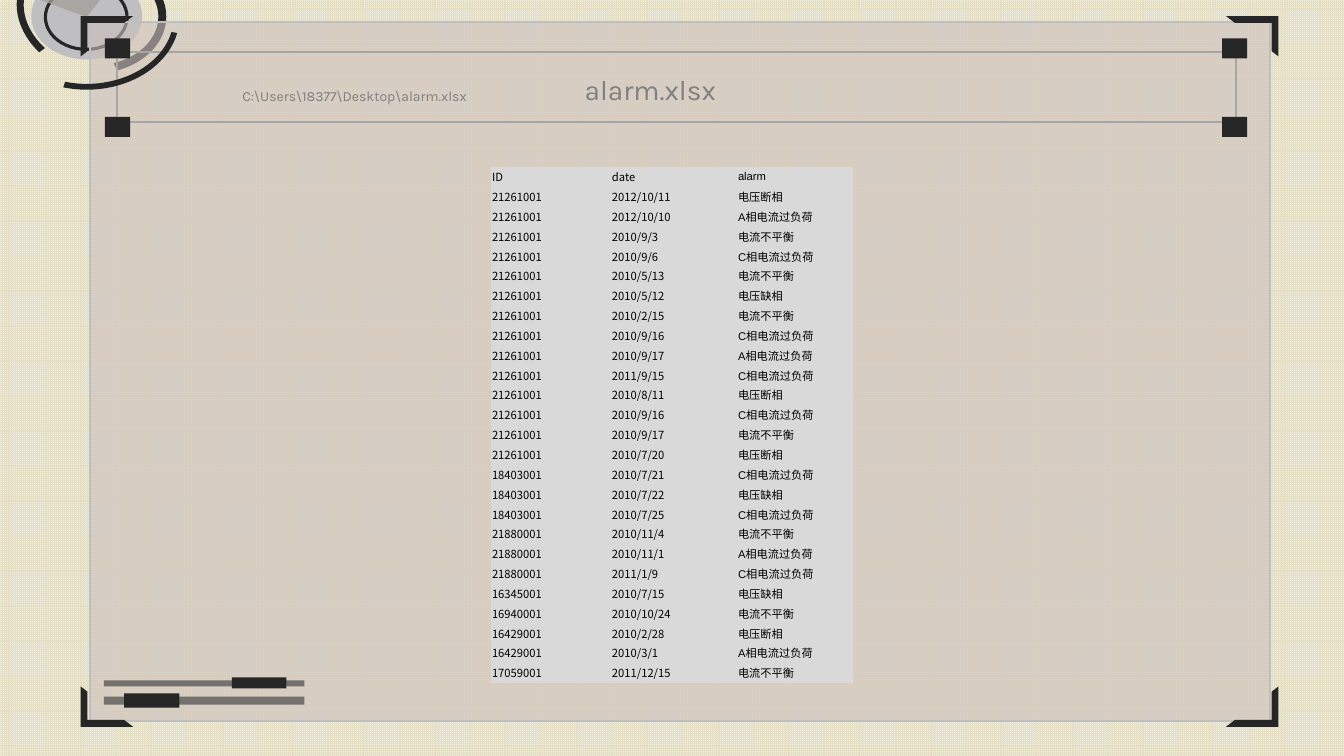
from dataclasses import dataclass

from lxml.etree import SubElement
from pptx import Presentation
from pptx.dml.color import RGBColor
from pptx.enum.dml import MSO_PATTERN
from pptx.enum.shapes import MSO_SHAPE
from pptx.enum.text import MSO_ANCHOR, MSO_AUTO_SIZE, PP_ALIGN
from pptx.oxml.ns import qn
from pptx.util import Pt

EMU_PER_PX = 9144  # 100 px to the inch
NO_STYLE_NO_GRID = "{2D5ABB26-0587-4C30-8999-92F81FD0307C}"


@dataclass(frozen=True)
class Theme:
    grid: str = "E5E0C5"
    paper: str = "EFECDC"
    dark: str = "262626"
    disc: str = "BFBFC1"
    wedge: str = "A19F9B"
    panel: str = "CCBFBC"
    panel_edge: str = "BFBFBF"
    frame: str = "A6A6A6"
    slider: str = "75716F"
    cell: str = "D9D9D9"
    ink: str = "000000"
    muted: str = "808080"
    heading_font: str = "Karla"
    data_font: str = "Noto Sans CJK SC"
    alarm_font: str = "Arial"
    title_size: int = 20
    path_size: int = 10
    data_size: int = 8


THEME = Theme()

RECORDS = [
    ("ID", "date", "alarm"),
    ("21261001", "2012/10/11", "电压断相"),
    ("21261001", "2012/10/10", "A相电流过负荷"),
    ("21261001", "2010/9/3", "电流不平衡"),
    ("21261001", "2010/9/6", "C相电流过负荷"),
    ("21261001", "2010/5/13", "电流不平衡"),
    ("21261001", "2010/5/12", "电压缺相"),
    ("21261001", "2010/2/15", "电流不平衡"),
    ("21261001", "2010/9/16", "C相电流过负荷"),
    ("21261001", "2010/9/17", "A相电流过负荷"),
    ("21261001", "2011/9/15", "C相电流过负荷"),
    ("21261001", "2010/8/11", "电压断相"),
    ("21261001", "2010/9/16", "C相电流过负荷"),
    ("21261001", "2010/9/17", "电流不平衡"),
    ("21261001", "2010/7/20", "电压断相"),
    ("18403001", "2010/7/21", "C相电流过负荷"),
    ("18403001", "2010/7/22", "电压缺相"),
    ("18403001", "2010/7/25", "C相电流过负荷"),
    ("21880001", "2010/11/4", "电流不平衡"),
    ("21880001", "2010/11/1", "A相电流过负荷"),
    ("21880001", "2011/1/9", "C相电流过负荷"),
    ("16345001", "2010/7/15", "电压缺相"),
    ("16940001", "2010/10/24", "电流不平衡"),
    ("16429001", "2010/2/28", "电压断相"),
    ("16429001", "2010/3/1", "A相电流过负荷"),
    ("17059001", "2011/12/15", "电流不平衡"),
]


def px(length):
    return round(length * EMU_PER_PX)


def rgb(value):
    return RGBColor.from_string(value)


def write(paragraph, text, *, size, font, color):
    run = paragraph.add_run()
    run.text = text
    run.font.size = Pt(size)
    run.font.name = font
    run.font.color.rgb = rgb(color)
    east_asian = SubElement(run.font._element, qn("a:ea"))
    east_asian.set("typeface", THEME.data_font)


class SlideBuilder:
    def __init__(self, slide, theme):
        self.slide = slide
        self.theme = theme

    def background(self):
        fill = self.slide.background.fill
        fill.patterned()
        fill.pattern = MSO_PATTERN.SMALL_GRID
        fill.fore_color.rgb = rgb(self.theme.grid)
        fill.back_color.rgb = rgb(self.theme.paper)

    def shape(self, kind, box, *, fill=None, opacity=None, line=None,
              weight=1.5, adjust=(), turn=0, flip=""):
        """Add a preset shape; flip holds "h", "v" or both."""
        shape = self.slide.shapes.add_shape(kind, *map(px, box))
        shape.shadow.inherit = False
        shape.rotation = turn
        for index, value in enumerate(adjust):
            shape.adjustments[index] = value
        for axis in flip:
            shape._element.spPr.xfrm.set("flip" + axis.upper(), "1")
        if fill:
            shape.fill.solid()
            shape.fill.fore_color.rgb = rgb(fill)
            if opacity:
                color = shape._element.spPr.find(qn("a:solidFill"))[0]
                SubElement(color, qn("a:alpha")).set("val", str(opacity * 1000))
        else:
            shape.fill.background()
        if line:
            shape.line.color.rgb = rgb(line)
            shape.line.width = Pt(weight)
        else:
            shape.line.fill.background()

    def text(self, box, runs, *, align=PP_ALIGN.LEFT, anchor=MSO_ANCHOR.TOP,
             autosize=MSO_AUTO_SIZE.NONE):
        """Add a one-paragraph box from (text, format) pairs."""
        frame = self.slide.shapes.add_textbox(*map(px, box)).text_frame
        frame.word_wrap = True
        frame.auto_size = autosize
        frame.vertical_anchor = anchor
        frame.paragraphs[0].alignment = align
        for content, style in runs:
            write(frame.paragraphs[0], content, **style)

    def table(self, left, top, height, widths, records, fonts):
        table = self.slide.shapes.add_table(
            len(records), len(widths),
            *map(px, (left, top, sum(widths), height))).table
        table.first_row = table.horz_banding = False
        table._tbl.tblPr.find(qn("a:tableStyleId")).text = NO_STYLE_NO_GRID
        for column, width in zip(table.columns, widths):
            column.width = px(width)
        for row, record in zip(table.rows, records):
            row.height = px(height / len(records))
            for cell, content, font in zip(row.cells, record, fonts):
                cell.fill.solid()
                cell.fill.fore_color.rgb = rgb(self.theme.cell)
                cell.vertical_anchor = MSO_ANCHOR.MIDDLE
                cell.margin_left = cell.margin_top = cell.margin_right = px(1)
                cell.margin_bottom = px(2)
                write(cell.text_frame.paragraphs[0], content, font=font,
                      size=self.theme.data_size, color=self.theme.ink)


def draw_dial(page):
    dark = THEME.dark
    outer = (-6, -55, 184, 144)
    page.shape(MSO_SHAPE.BLOCK_ARC, (21, -40, 144, 113), fill=dark,
               adjust=(182.33, 40.04, 0.07))
    page.shape(MSO_SHAPE.OVAL, (31, -27, 110, 86), fill=THEME.disc)
    page.shape(MSO_SHAPE.OVAL, (45, -15, 81, 64), line=dark, weight=2.25)
    page.shape(MSO_SHAPE.BLOCK_ARC, (14, -42, 148, 116), fill=dark, turn=204.9,
               adjust=(179.38, 61.5, 0.06))
    page.shape(MSO_SHAPE.PIE, outer, fill=THEME.wedge, opacity=78,
               adjust=(120.12, 184.85))
    draw_panel(page)
    page.shape(MSO_SHAPE.BLOCK_ARC, outer, fill=dark, adjust=(5.97, 65.07, 0.04))


def draw_panel(page):
    page.shape(MSO_SHAPE.RECTANGLE, (89, 22, 1171, 693), fill=THEME.panel,
               opacity=60, line=THEME.panel_edge)
    for left, top, turn, flip in ((86, 675, 270, ""), (1222, 675, 90, "h"),
                                  (1222, 10, 270, "hv"), (86, 10, 90, "v")):
        page.shape(MSO_SHAPE.HALF_FRAME, (left, top, 40, 52), fill=THEME.dark,
                   turn=turn, flip=flip, adjust=(0.17, 0.17))
    page.shape(MSO_SHAPE.RECTANGLE, (116, 52, 1110, 69), line=THEME.frame)
    for left in (104, 1212):
        for top in (38, 116):
            page.shape(MSO_SHAPE.RECTANGLE, (left, top, 25, 20), fill=THEME.dark)


def draw_sliders(page):
    for track, knob in (((103, 691, 199, 8), (123, 688, 55, 14)),
                        ((103, 675, 199, 6), (230, 672, 54, 11))):
        page.shape(MSO_SHAPE.RECTANGLE, track, fill=THEME.slider)
        page.shape(MSO_SHAPE.RECTANGLE, knob, fill=THEME.dark)


def main():
    deck = Presentation()
    deck.slide_width, deck.slide_height = px(1333), px(750)
    page = SlideBuilder(deck.slides.add_slide(deck.slide_layouts[6]), THEME)
    page.background()
    draw_dial(page)
    heading = dict(font=THEME.heading_font, color=THEME.muted)
    page.text((570, 67, 184, 44),
              [("alarm.xlsx", dict(heading, size=THEME.title_size))],
              autosize=MSO_AUTO_SIZE.SHAPE_TO_FIT_TEXT)
    draw_sliders(page)
    page.table(487, 166, 512, (119, 125, 115), RECORDS,
               (THEME.data_font, THEME.data_font, THEME.alarm_font))
    lead = dict(size=THEME.title_size, font=THEME.data_font, color=THEME.dark)
    page.text((173, 68, 351, 43),
              [(" ", lead),
               ("C:\\Users\\18377\\Desktop\\alarm.xlsx",
                dict(heading, size=THEME.path_size))],
              align=PP_ALIGN.CENTER, anchor=MSO_ANCHOR.MIDDLE)
    deck.save("out.pptx")


if __name__ == "__main__":
    main()
